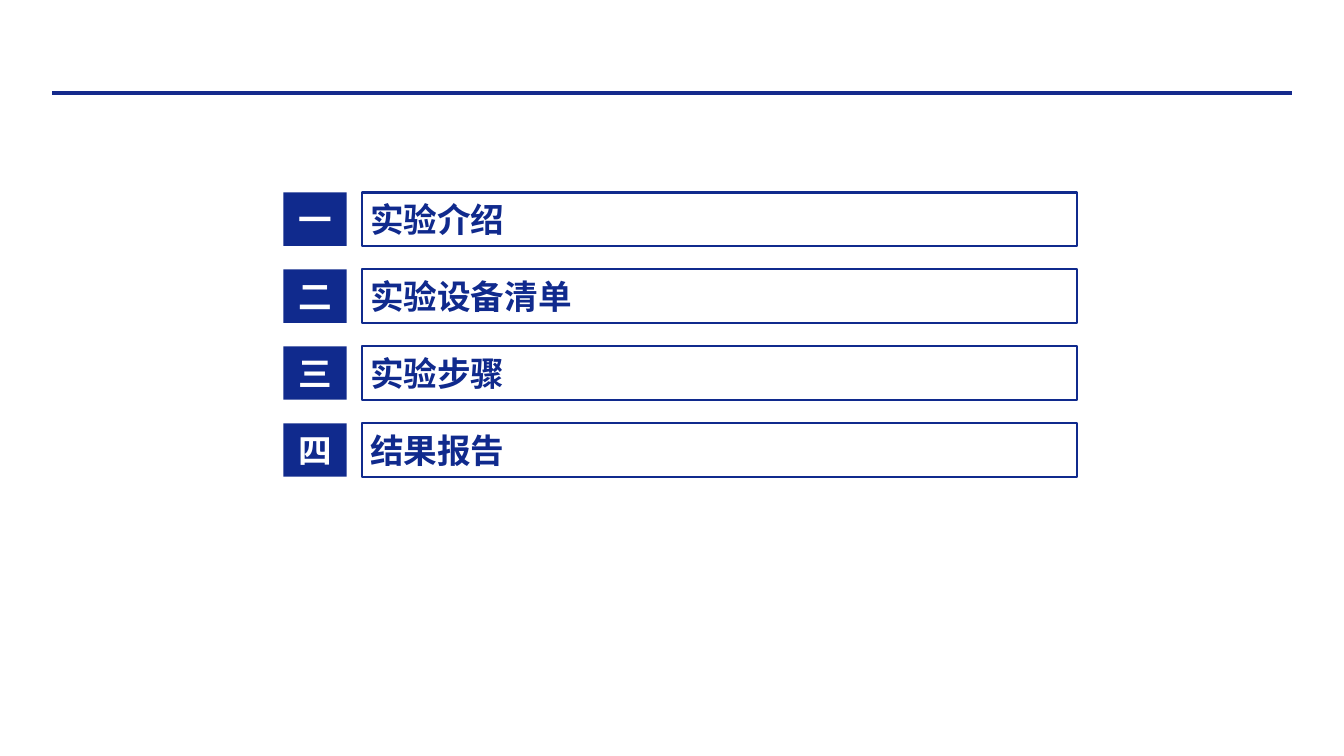
from lxml import etree
from pptx import Presentation
from pptx.dml.color import RGBColor
from pptx.enum import shapes, text
from pptx.oxml.ns import qn
from pptx.util import Inches, Pt

NAVY = RGBColor(0x10, 0x2A, 0x8D)
RULE_BLUE = RGBColor(0x15, 0x2A, 0x8C)
WHITE = RGBColor(0xFF, 0xFF, 0xFF)
FONT = "Noto Sans CJK SC"

presentation = Presentation()
presentation.slide_width = Inches(13.33)
presentation.slide_height = Inches(7.5)
slide = presentation.slides.add_slide(presentation.slide_layouts[6])


def add_box(words, left, top, width, height, color, align, fill=None):
    """Add a filled box, or an outlined one when no fill is given."""
    shape = slide.shapes.add_shape(
        shapes.MSO_SHAPE.RECTANGLE,
        Inches(left), Inches(top), Inches(width), Inches(height))
    shape.shadow.inherit = False
    if fill is None:
        shape.fill.background()
        shape.line.color.rgb = color
        shape.line.width = Pt(1.5)
    else:
        shape.fill.solid()
        shape.fill.fore_color.rgb = fill
        shape.line.fill.background()

    frame = shape.text_frame
    frame.word_wrap = True
    frame.vertical_anchor = text.MSO_ANCHOR.MIDDLE
    frame.margin_left = frame.margin_right = Inches(0.08)
    frame.margin_top = frame.margin_bottom = Inches(0.04)
    paragraph = frame.paragraphs[0]
    paragraph.alignment = align
    run = paragraph.add_run()
    run.text = words
    run.font.size = Pt(24)
    run.font.bold = True
    run.font.color.rgb = color
    run.font.name = FONT
    # Chinese characters take the East Asian typeface
    etree.SubElement(run.font._element, qn("a:ea")).set("typeface", FONT)


# Header rule
rule = slide.shapes.add_connector(
    shapes.MSO_CONNECTOR.STRAIGHT,
    Inches(12.81), Inches(0.92), Inches(0.52), Inches(0.92))
rule.line.color.rgb = RULE_BLUE
rule.line.width = Pt(3)
etree.SubElement(rule._element.spPr, qn("a:effectLst"))

# Agenda rows, evenly spaced between the first and last top
agenda = [("一", "实验介绍"), ("二", "实验设备清单"),
          ("三", "实验步骤"), ("四", "结果报告")]
first_top, last_top = 1.91, 4.2
row_height = 0.53
row_pitch = (last_top - first_top) / (len(agenda) - 1)

for index, (number, heading) in enumerate(agenda):
    top = first_top + index * row_pitch
    add_box(heading, 3.59, top, 7.09, row_height, NAVY, text.PP_ALIGN.LEFT)
    add_box(number, 2.81, top, 0.63, row_height, WHITE,
            text.PP_ALIGN.CENTER, fill=NAVY)

presentation.save("out.pptx")
